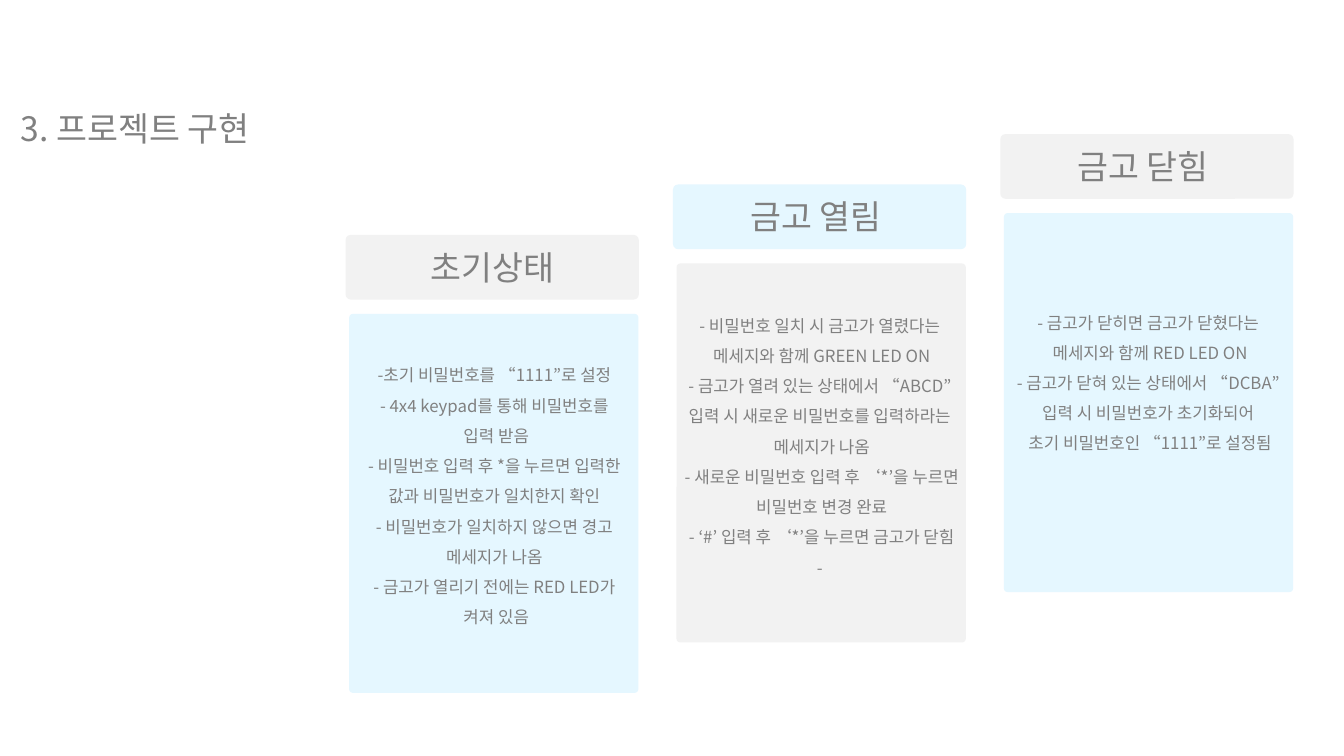
"""Build the slide showing the three states of the safe as rising cards."""
from dataclasses import dataclass

from lxml.etree import SubElement
from pptx import Presentation
from pptx.dml.color import RGBColor as RGB
from pptx.enum.shapes import MSO_SHAPE as Shape
from pptx.enum.text import MSO_AUTO_SIZE as Fit, PP_ALIGN as Align
from pptx.oxml.ns import qn
from pptx.slide import Slide
from pptx.util import Cm, Pt


@dataclass(frozen=True)
class Theme:
    """Colours, font and type sizes."""
    ink: RGB = RGB(0x80, 0x80, 0x80)
    gray: RGB = RGB(0xF2, 0xF2, 0xF2)
    blue: RGB = RGB(0xE5, 0xF7, 0xFF)
    font: str = "Noto Sans CJK KR"
    head: int = 24
    body: int = 12


@dataclass(frozen=True)
class Box:
    """Position and size in centimetres."""
    x: float
    y: float
    w: float
    h: float

    def move(self, dx: float, dy: float) -> "Box":
        """Return the box shifted by an offset."""
        return Box(self.x + dx, self.y + dy, self.w, self.h)

    def emu(self) -> tuple[Cm, Cm, Cm, Cm]:
        """Return the box as slide lengths."""
        return Cm(self.x), Cm(self.y), Cm(self.w), Cm(self.h)


@dataclass(frozen=True)
class Card:
    """One state of the safe, with text boxes relative to the card."""
    head: str
    body: tuple[str, ...]
    label: Box
    text: Box
    top: RGB
    base: RGB


THEME = Theme()
TITLE = Box(0.28, 2.59, 6.65, 1.24)
HEAD = Box(0, 0, 7.39, 1.63)
PANEL = Box(0.09, 1.99, 7.29, 9.55)
LEFT, TOP = 8.71, 5.92
STEP, RISE = 8.25, 1.27

CARDS = (
    Card("초기상태", (
        "-초기 비밀번호를 “1111”로 설정",
        "- 4x4 keypad를 통해 비밀번호를",
        " 입력 받음",
        "- 비밀번호 입력 후 *을 누르면 입력한",
        "값과 비밀번호가 일치한지 확인",
        "- 비밀번호가 일치하지 않으면 경고",
        "메세지가 나옴",
        "- 금고가 열리기 전에는 RED LED가",
        " 켜져 있음",
    ), Box(1.8, 0.17, 3.81, 1.24), Box(0.08, 2.9, 7.34, 7.87),
        THEME.gray, THEME.blue),
    Card("금고 열림", (
        "- 비밀번호 일치 시 금고가 열렸다는 ",
        "메세지와 함께 GREEN LED ON",
        "- 금고가 열려 있는 상태에서 “ABCD” ",
        "입력 시 새로운 비밀번호를 입력하라는 ",
        "메세지가 나옴",
        "- 새로운 비밀번호 입력 후 ‘*’을 누르면",
        "비밀번호 변경 완료",
        "- ‘#’ 입력 후 ‘*’을 누르면 금고가 닫힘",
        "- ",
    ), Box(1.57, 0.17, 4.06, 1.24), Box(-0.1, 2.92, 7.7, 7.09),
        THEME.blue, THEME.gray),
    Card("금고 닫힘 ", (
        "- 금고가 닫히면 금고가 닫혔다는 ",
        "메세지와 함께 RED LED ON",
        "- 금고가 닫혀 있는 상태에서 “DCBA” ",
        "입력 시 비밀번호가 초기화되어 ",
        "초기 비밀번호인 “1111”로 설정됨",
    ), Box(1.55, 0.17, 4.29, 1.24), Box(0.08, 4.11, 7.39, 4.06),
        THEME.gray, THEME.blue),
)


def add_text(slide: Slide, box: Box, text: str, size: int,
             align: Align = Align.CENTER, space: float = 1.0) -> None:
    """Add a text box that grows with its unwrapped lines."""
    frame = slide.shapes.add_textbox(*box.emu()).text_frame
    frame.word_wrap = False
    frame.auto_size = Fit.SHAPE_TO_FIT_TEXT
    frame.text = text
    for para in frame.paragraphs:
        para.alignment = align
        para.line_spacing = space
        for run in para.runs:
            run.font.size = Pt(size)
            run.font.color.rgb = THEME.ink
            run.font.name = THEME.font
            props = run._r.get_or_add_rPr()
            SubElement(props, qn("a:ea")).set("typeface", THEME.font)


def add_panel(slide: Slide, box: Box, fill: RGB, curve: float) -> None:
    """Add a plain rounded panel."""
    panel = slide.shapes.add_shape(Shape.ROUNDED_RECTANGLE, *box.emu())
    panel.adjustments[0] = curve
    panel.shadow.inherit = False
    panel.fill.solid()
    panel.fill.fore_color.rgb = fill
    panel.line.fill.background()


def add_card(slide: Slide, card: Card, x: float, y: float) -> None:
    """Draw one card with its heading and body."""
    add_panel(slide, HEAD.move(x, y), card.top, 0.08)
    add_text(slide, card.label.move(x, y), card.head, THEME.head)
    add_panel(slide, PANEL.move(x, y), card.base, 0.013)
    add_text(slide, card.text.move(x, y), "\n".join(card.body),
             THEME.body, space=1.5)


def main() -> None:
    """Build and save the deck."""
    deck = Presentation()
    deck.slide_width, deck.slide_height = Cm(33.87), Cm(19.05)
    slide = deck.slides.add_slide(deck.slide_layouts[6])
    add_text(slide, TITLE, "3. 프로젝트 구현", THEME.head, Align.LEFT)
    for i, card in enumerate(CARDS):
        add_card(slide, card, LEFT + i * STEP, TOP - i * RISE)
    deck.save("out.pptx")


if __name__ == "__main__":
    main()
